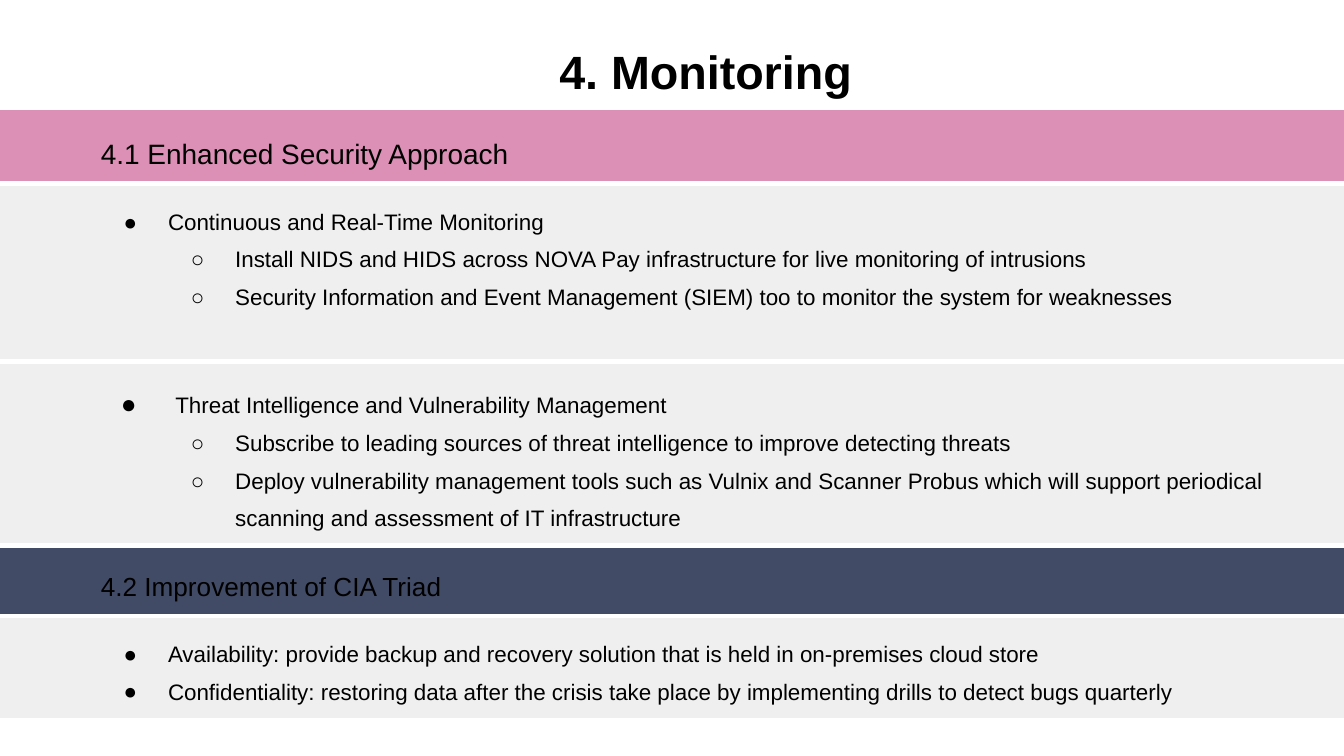
import pptx
import pptx.util
from lxml import etree
from pptx.dml.color import RGBColor
from pptx.enum.text import MSO_ANCHOR, MSO_AUTO_SIZE, PP_ALIGN
from pptx.oxml.ns import qn
from pptx.util import Inches, Pt

# Content: paragraphs are (bullet level or None, runs of (text, size))
TITLE = "4. Monitoring"
ROWS = [
    dict(height=0.52, fill="DD90B6", text=[
        (None, [("4.1 Enhanced Security Approach", 15)])]),
    dict(height=1.27, fill="EFEFEF", bottom=0.38, text=[
        (0, [("Continuous and Real-Time Monitoring", 12)]),
        (1, [("Install NIDS and HIDS across NOVA Pay infrastructure for live monitoring of intrusions", 12)]),
        (1, [("Security Information and Event Management (SIEM) too to monitor the system for weaknesses", 12)])]),
    dict(height=1.32, fill="EFEFEF", text=[
        (0, [(" ", 14), ("Threat Intelligence and Vulnerability Management", 12)]),
        (1, [("Subscribe to leading sources of threat intelligence to improve detecting threats", 12)]),
        (1, [("Deploy vulnerability management tools such as Vulnix and Scanner Probus which will support "
              "periodical scanning and assessment of IT infrastructure", 12)])]),
    dict(height=0.5, fill="424B66", text=[
        (None, [("4.2 Improvement of CIA Triad", 14)])]),
    dict(height=0.73, fill="EFEFEF", text=[
        (0, [("Availability: provide backup and recovery solution that is held in on-premises cloud store", 12)]),
        (0, [("Confidentiality: restoring data after the crisis take place by implementing drills "
              "to detect bugs quarterly", 12)])]),
]
COLUMNS = [4.2, 5.8]
BULLETS = "●○"
HANGING = {12: 0.33, 14: 0.35}  # by size of the first run


def color(value):
    return RGBColor.from_string(value)


def apply(obj, values):
    for name, value in values.items():
        setattr(obj, name, value)


def add_text(p, runs, bold=False):
    p.line_spacing = 1.5
    for text, size in runs:
        r = p.add_run()
        r.text = text
        apply(r.font, dict(name="Arial", size=Pt(size), bold=bold))
        r.font.color.rgb = color("000000")


def add_bullet(p, level, size):
    p.level = level
    pPr = p._p.get_or_add_pPr()
    pPr.set("marL", str(Inches(0.5 * (level + 1))))
    pPr.set("indent", str(-Inches(HANGING[size])))
    clr = etree.SubElement(pPr, qn("a:buClr"))
    etree.SubElement(clr, qn("a:srgbClr"), val="000000")
    etree.SubElement(pPr, qn("a:buSzPts"), val=str(size * 100))
    etree.SubElement(pPr, qn("a:buFont"), typeface="Arial")
    etree.SubElement(pPr, qn("a:buChar"), char=BULLETS[level])


def set_borders(cell, white_sides):
    tcPr = cell._tc.get_or_add_tcPr()
    for i, side in enumerate("LRTB"):
        ln = etree.Element(qn("a:ln" + side), w=str(Pt(3)))
        if side in white_sides:
            fill = etree.SubElement(ln, qn("a:solidFill"))
            etree.SubElement(fill, qn("a:srgbClr"), val="FFFFFF")
        else:
            etree.SubElement(ln, qn("a:noFill"))
        tcPr.insert(i, ln)


prs = pptx.Presentation()
apply(prs, dict(slide_width=Inches(10), slide_height=Inches(10 * 9 / 16)))
s = prs.slides.add_slide(prs.slide_layouts[5])

# Title
title = s.shapes.title
apply(title, dict(left=Inches(0.5), top=Inches(0.11), width=Inches(9), height=Inches(0.63)))
tf = title.text_frame
apply(tf, dict(auto_size=MSO_AUTO_SIZE.NONE, word_wrap=True, vertical_anchor=MSO_ANCHOR.MIDDLE))
apply(tf, {"margin_" + side: Inches(0.1) for side in ("left", "right", "top", "bottom")})
p = tf.paragraphs[0]
apply(p, dict(alignment=PP_ALIGN.CENTER, space_before=Pt(18), space_after=Pt(6)))
p._p.get_or_add_pPr().set("indent", str(Inches(0.5)))
add_text(p, [(TITLE, 25)], bold=True)

# Table of full-width bands, with white lines between them
height = sum(row["height"] for row in ROWS)
table = s.shapes.add_table(len(ROWS), len(COLUMNS), 0, Inches(0.82), Inches(10), Inches(height)).table
apply(table, dict(first_row=False, horz_banding=False))
for column, width in zip(table.columns, COLUMNS):
    column.width = Inches(width)
for i, row in enumerate(ROWS):
    table.rows[i].height = Inches(row["height"])
    white_sides = ("T" if i else "") + ("B" if i < len(ROWS) - 1 else "")
    for cell in table.rows[i].cells:
        cell.fill.solid()
        cell.fill.fore_color.rgb = color(row["fill"])
        set_borders(cell, white_sides)
    cell = table.cell(i, 0)
    cell.merge(table.cell(i, len(COLUMNS) - 1))
    apply(cell, dict(vertical_anchor=MSO_ANCHOR.MIDDLE,
                     margin_left=Inches(0.75), margin_right=Inches(0.1),
                     margin_top=Inches(0.1),
                     margin_bottom=Inches(row.get("bottom", 0.1))))
    tf = cell.text_frame
    for j, (level, runs) in enumerate(row["text"]):
        p = tf.add_paragraph() if j else tf.paragraphs[0]
        add_text(p, runs)
        if level is not None:
            add_bullet(p, level, runs[0][1])

prs.save("out.pptx")
